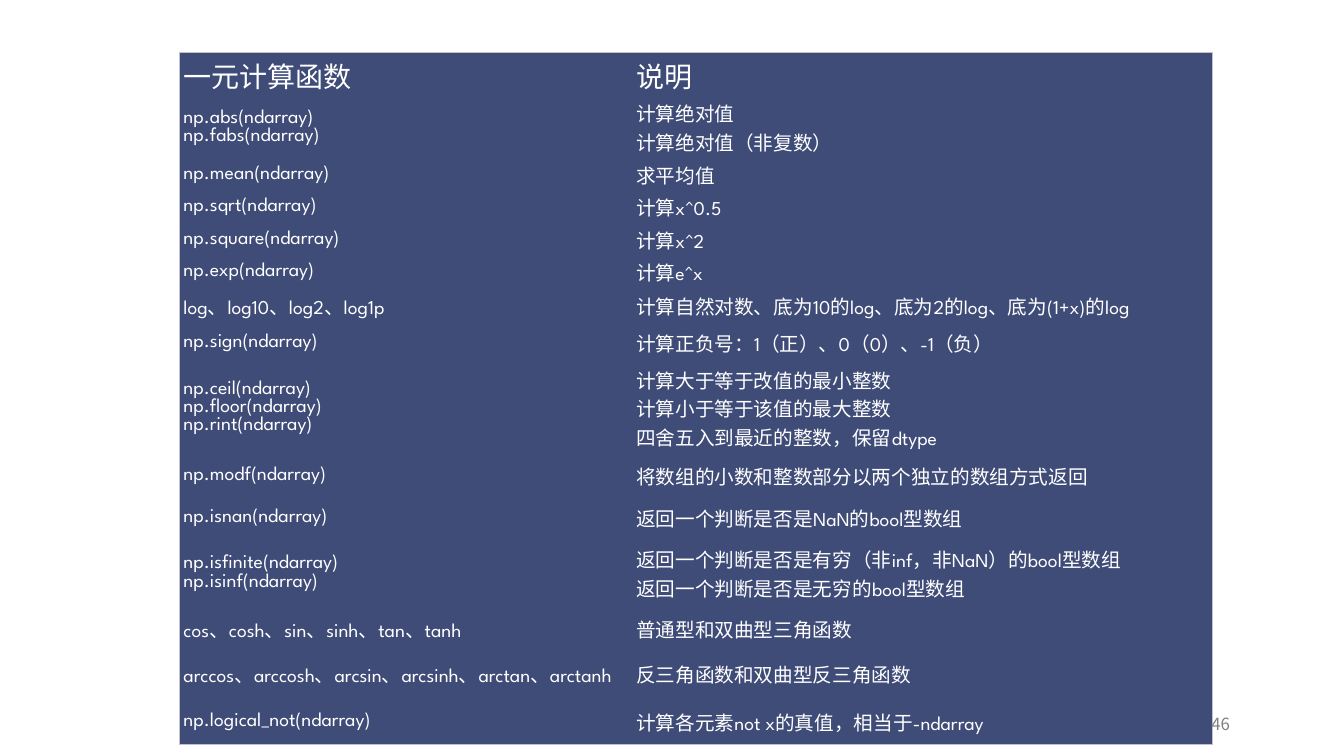
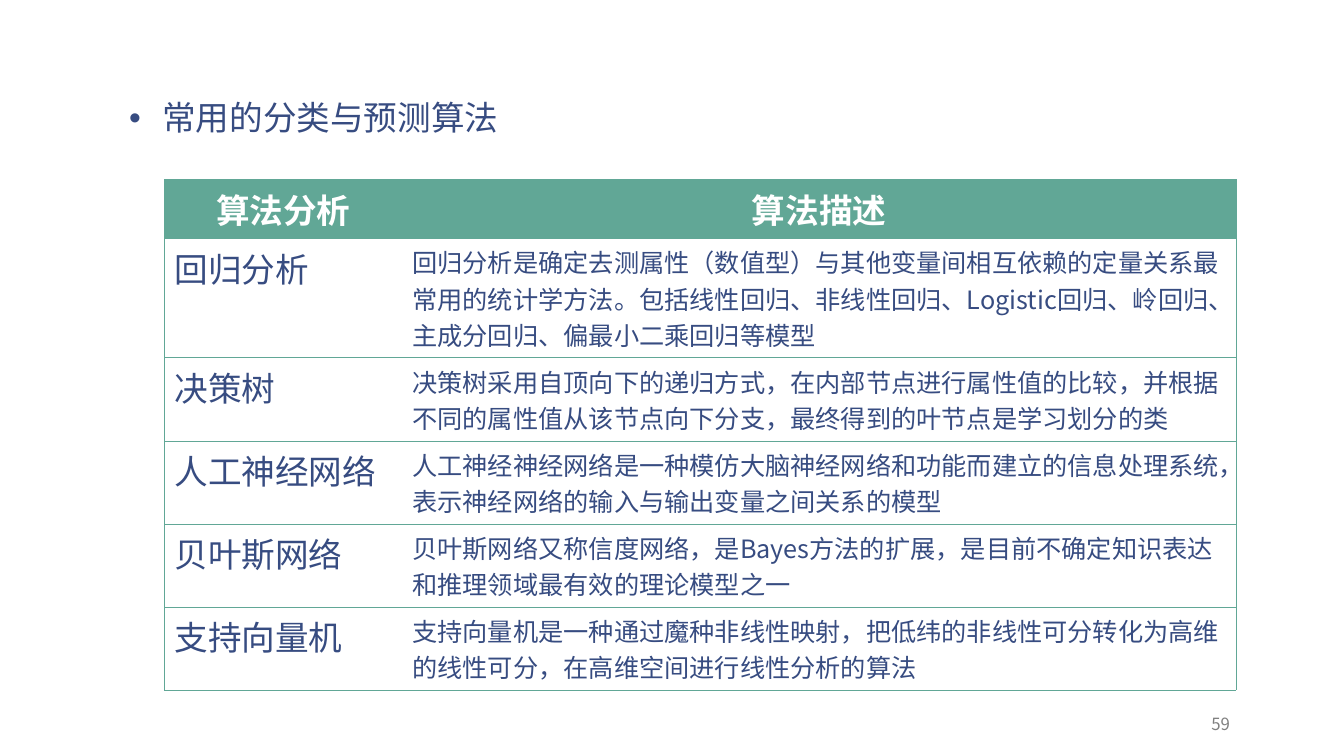
import pptx
import pptx.dml.color
import pptx.enum.text
import pptx.oxml.ns
import pptx.util
from lxml import etree

Inches = pptx.util.Inches
Pt = pptx.util.Pt
ALIGN = pptx.enum.text.PP_ALIGN
ANCHOR = pptx.enum.text.MSO_ANCHOR

LATIN_FONT = "League Spartan"
CHINESE_FONT = "Noto Sans CJK SC"
WHITE = "FFFFFF"
NAVY = "374C81"
PANEL = "3F4C78"
GREEN = "61A796"
PALE = "C0C2CA"
GREY = "808080"
NO_TABLE_STYLE = "{2D5ABB26-0587-4C30-8999-92F81FD0307C}"

# Row height, functions, descriptions; a line break starts a new paragraph.
FUNCTION_ROWS = [
    (0.38, "一元计算函数", "说明"),
    (0.52, "np.abs(ndarray)\nnp.fabs(ndarray)", "计算绝对值\n计算绝对值（非复数）"),
    (0.28, "np.mean(ndarray)", "求平均值"),
    (0.28, "np.sqrt(ndarray)", "计算x^0.5"),
    (0.28, "np.square(ndarray)", "计算x^2"),
    (0.28, "np.exp(ndarray)", "计算e^x"),
    (0.34, "log、log10、log2、log1p",
     "计算自然对数、底为10的log、底为2的log、底为(1+x)的log"),
    (0.4, "np.sign(ndarray)", "计算正负号：1（正）、0（0）、-1（负）"),
    (0.84, "np.ceil(ndarray)\nnp.floor(ndarray)\nnp.rint(ndarray)",
     "计算大于等于改值的最小整数\n计算小于等于该值的最大整数\n四舍五入到最近的整数，保留dtype"),
    (0.45, "np.modf(ndarray)", "将数组的小数和整数部分以两个独立的数组方式返回"),
    (0.39, "np.isnan(ndarray)", "返回一个判断是否是NaN的bool型数组"),
    (0.71, "np.isfinite(ndarray)\nnp.isinf(ndarray)",
     "返回一个判断是否是有穷（非inf，非NaN）的bool型数组\n返回一个判断是否是无穷的bool型数组"),
    (0.39, "cos、cosh、sin、sinh、tan、tanh", "普通型和双曲型三角函数"),
    (0.47, "arccos、arccosh、arcsin、arcsinh、arctan、arctanh",
     "反三角函数和双曲型反三角函数"),
    (0.45, "np.logical_not(ndarray)", "计算各元素not x的真值，相当于-ndarray"),
]

ALGORITHM_ROWS = [
    (0.41, "算法分析", "算法描述"),
    (0.41, "回归分析",
     "回归分析是确定去测属性（数值型）与其他变量间相互依赖的定量关系最常用的统计学方法。"
     "包括线性回归、非线性回归、Logistic回归、岭回归、主成分回归、偏最小二乘回归等模型"),
    (0.41, "决策树",
     "决策树采用自顶向下的递归方式，在内部节点进行属性值的比较，"
     "并根据不同的属性值从该节点向下分支，最终得到的叶节点是学习划分的类"),
    (0.41, "人工神经网络",
     "人工神经神经网络是一种模仿大脑神经网络和功能而建立的信息处理系统，"
     "表示神经网络的输入与输出变量之间关系的模型"),
    (0.25, "贝叶斯网络",
     "贝叶斯网络又称信度网络，是Bayes方法的扩展，"
     "是目前不确定知识表达和推理领域最有效的理论模型之一"),
    (0.25, "支持向量机",
     "支持向量机是一种通过魔种非线性映射，把低纬的非线性可分转化为高维的线性可分，"
     "在高维空间进行线性分析的算法"),
]


def rgb(color):
    return pptx.dml.color.RGBColor.from_string(color)


def add_element(parent, tag, **attributes):
    return etree.SubElement(parent, pptx.oxml.ns.qn(tag), **attributes)


def write_text(frame, text, size, color, font=CHINESE_FONT, bold=False, align=ALIGN.LEFT):
    """Fill a text frame, one paragraph for each line."""
    for index, line in enumerate(text.split("\n")):
        para = frame.add_paragraph() if index else frame.paragraphs[0]
        para.alignment = align
        span = para.add_run()
        span.text = line
        span.font.size = Pt(size)
        span.font.name = font
        span.font.bold = bold
        span.font.color.rgb = rgb(color)
        add_element(span.font._element, "a:ea", typeface=CHINESE_FONT)


def set_borders(cell, color, sides):
    """Draw thin lines on the sides named by letters from L, R, T and B."""
    properties = cell._tc.get_or_add_tcPr()
    for side in "LRTB":
        if side in sides:
            line = add_element(properties, "a:ln" + side, w=str(Pt(0.5)))
            fill = add_element(line, "a:solidFill")
            add_element(fill, "a:srgbClr", val=color)


def outer_sides(row, column, row_count):
    """Sides of a cell in a two-column table that lie on the table's edge."""
    sides = "LR"[column]
    if row == 0:
        sides += "T"
    if row == row_count - 1:
        sides += "B"
    return sides


def add_plain_table(page, left, top, widths, rows, format_cell):
    """Add an unstyled table; format_cell(cell, text, row, column) fills each cell."""
    heights = [row[0] for row in rows]
    frame = page.shapes.add_table(len(rows), len(widths), Inches(left), Inches(top),
                                  Inches(sum(widths)), Inches(sum(heights)))
    table = frame.table
    table.first_row = False
    table.horz_banding = False
    table._tbl.tblPr.find(pptx.oxml.ns.qn("a:tableStyleId")).text = NO_TABLE_STYLE
    for column, width in zip(table.columns, widths):
        column.width = Inches(width)
    for row_index, (height, *texts) in enumerate(rows):
        table.rows[row_index].height = Inches(height)
        for column_index, text in enumerate(texts):
            format_cell(table.cell(row_index, column_index), text, row_index, column_index)


def format_function_cell(cell, text, row, column):
    cell.vertical_anchor = ANCHOR.MIDDLE
    cell.margin_left = cell.margin_right = Inches(0.04)
    cell.margin_top = cell.margin_bottom = Inches(0.02)
    set_borders(cell, PALE, outer_sides(row, column, len(FUNCTION_ROWS)))
    cell.fill.solid()
    cell.fill.fore_color.rgb = rgb(PANEL)
    write_text(cell.text_frame, text, 14 if row else 20, WHITE, font=LATIN_FONT)


def format_algorithm_cell(cell, text, row, column):
    set_borders(cell, GREEN, "TB" + "LR"[column])
    if row == 0:
        cell.fill.solid()
        cell.fill.fore_color.rgb = rgb(GREEN)
        write_text(cell.text_frame, text, 24, WHITE, font=LATIN_FONT, bold=True,
                   align=ALIGN.CENTER)
    else:
        cell.fill.background()
        write_text(cell.text_frame, text, 18 if column else 24, NAVY)


def set_insets(frame):
    frame.margin_left = frame.margin_right = Inches(0.13)
    frame.margin_top = frame.margin_bottom = Inches(0.07)


def add_page_number(page, number):
    box = page.shapes.add_textbox(Inches(11.12), Inches(7), Inches(1.21), Inches(0.35))
    frame = box.text_frame
    frame.word_wrap = True
    frame.vertical_anchor = ANCHOR.BOTTOM
    set_insets(frame)
    write_text(frame, str(number), 12, GREY, align=ALIGN.RIGHT)


def fill_body(page, text):
    """Place the body placeholder and give it one bulleted line."""
    body = page.placeholders[1]
    body.left, body.top = Inches(1.15), Inches(0.92)
    body.width, body.height = Inches(11.11), Inches(4.89)
    frame = body.text_frame
    frame.auto_size = pptx.enum.text.MSO_AUTO_SIZE.NONE
    set_insets(frame)
    para = frame.paragraphs[0]
    para.line_spacing = 0.95
    para.space_before = Pt(0)
    properties = para._p.get_or_add_pPr()
    properties.set("marL", str(Inches(0.33)))
    properties.set("indent", str(-Inches(0.33)))
    add_element(properties, "a:buFont", typeface="Arial")
    add_element(properties, "a:buChar", char="•")
    write_text(frame, text, 24, NAVY)


def add_function_page(deck):
    page = deck.slides.add_slide(deck.slide_layouts.get_by_name("Blank"))
    add_plain_table(page, 1.78, 0.52, [4.49, 5.75], FUNCTION_ROWS, format_function_cell)
    add_page_number(page, 46)


def add_algorithm_page(deck):
    page = deck.slides.add_slide(deck.slide_layouts.get_by_name("Title and Content"))
    title = page.shapes.title.element
    title.getparent().remove(title)
    fill_body(page, "常用的分类与预测算法")
    add_plain_table(page, 1.63, 1.78, [2.36, 8.27], ALGORITHM_ROWS, format_algorithm_cell)
    add_page_number(page, 59)


def main():
    deck = pptx.Presentation()
    deck.slide_width = Inches(13.33)
    deck.slide_height = Inches(7.5)
    add_function_page(deck)
    add_algorithm_page(deck)
    deck.save("out.pptx")


if __name__ == "__main__":
    main()
